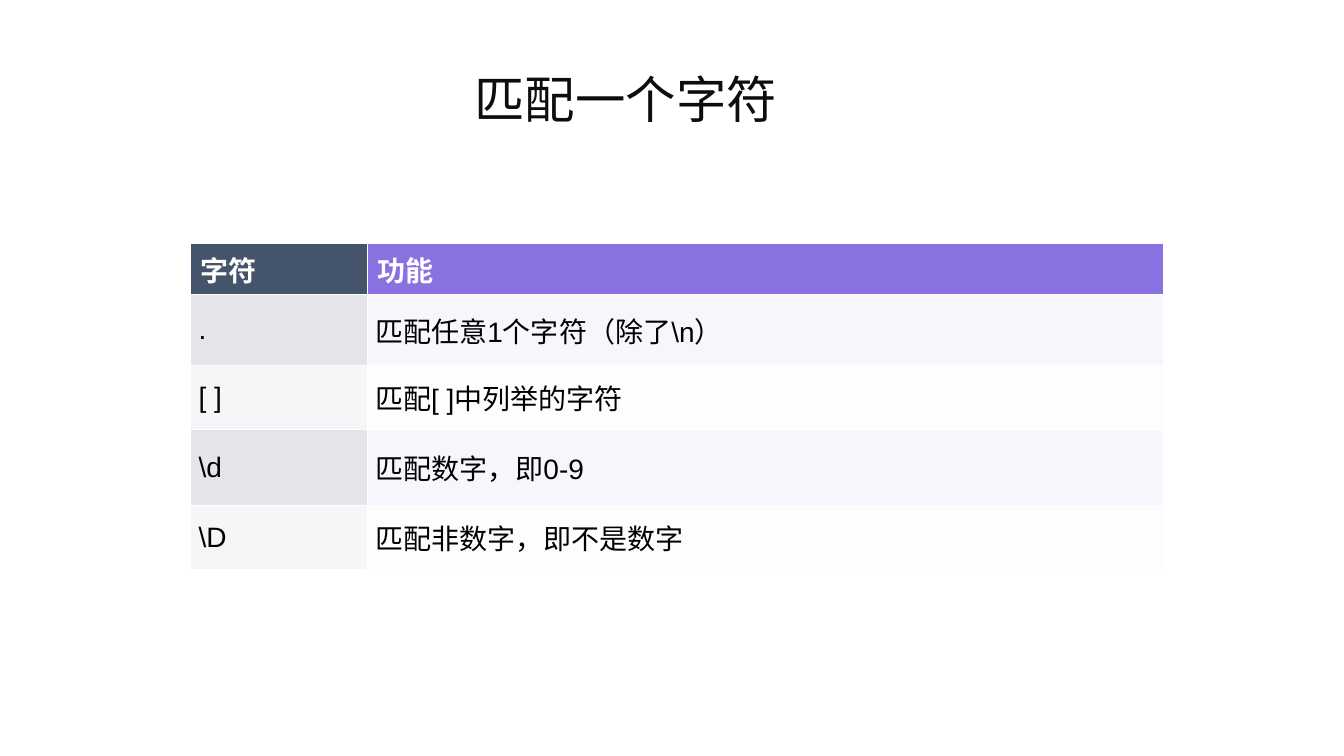
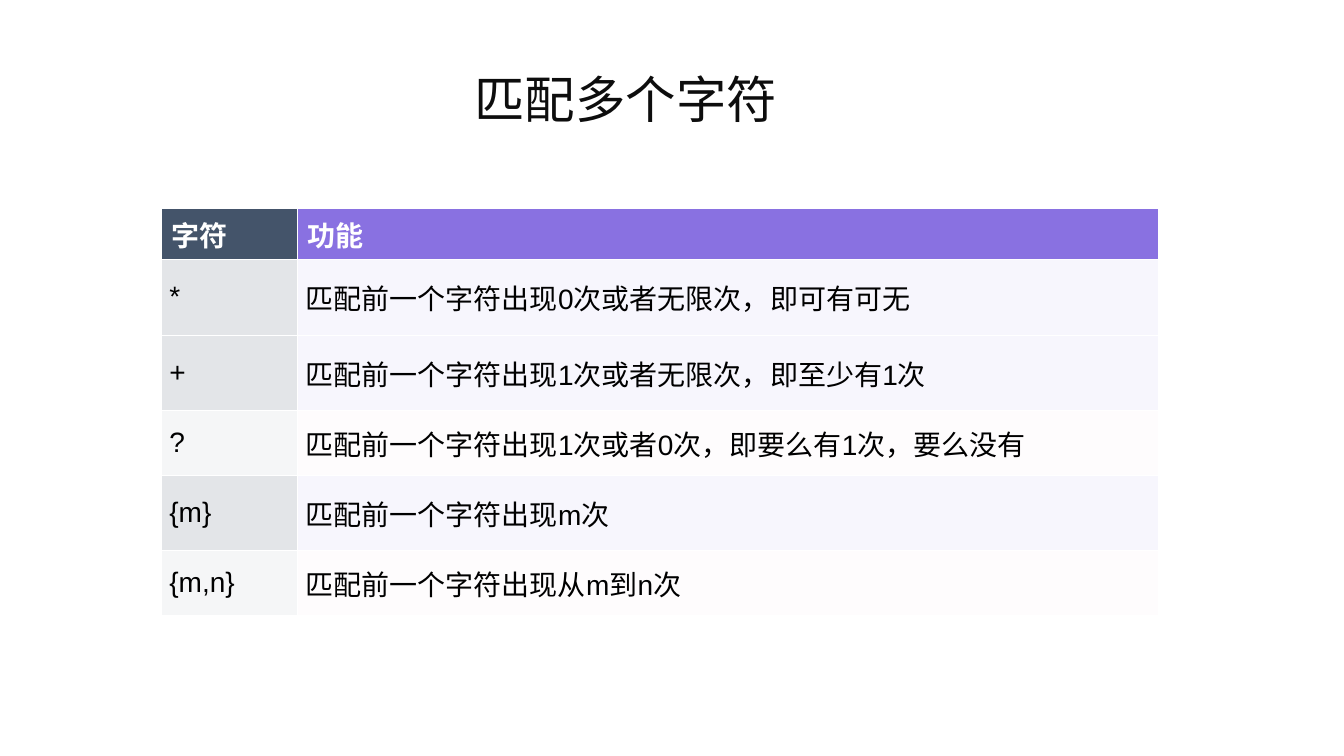
from dataclasses import dataclass

from lxml.etree import SubElement
from pptx import Presentation
from pptx.dml.color import RGBColor
from pptx.enum.text import MSO_ANCHOR, MSO_AUTO_SIZE, PP_ALIGN
from pptx.oxml.ns import qn
from pptx.util import Emu, Pt

EMU_PER_PX = 9144  # 100 px to the inch


def px(length):
    return Emu(length * EMU_PER_PX)


@dataclass(frozen=True)
class Band:
    key_fill: str
    meaning_fill: str
    opacity: int = 100


@dataclass(frozen=True)
class Theme:
    font: str = "Arial"
    title_size: int = 36
    table_size: int = 20
    title_color: str = "0D0D0D"
    header_color: str = "FFFFFF"
    body_color: str = "000000"
    rule_color: str = "FFFFFF"
    rule_width: float = 0.75
    header: Band = Band("44546A", "8971E1")
    dark: Band = Band("44546A", "D0C6F3", 15)
    light: Band = Band("44546A", "F9D5E9", 5)


THEME = Theme()
SLIDE_SIZE = (1333, 750)
TITLE_BOX = (92, -12, 1057, 145)
HEADINGS = ("字符", "功能")
HEADER_HEIGHT = 50
CELL_MARGIN = 8


class Deck:
    def __init__(self, theme):
        self.theme = theme
        self.presentation = Presentation()
        self.presentation.slide_width, self.presentation.slide_height = map(px, SLIDE_SIZE)
        self.slide = None

    def add_slide(self, title):
        self.slide = self.presentation.slides.add_slide(self.presentation.slide_layouts[5])
        heading = self.slide.shapes.title
        heading.left, heading.top, heading.width, heading.height = map(px, TITLE_BOX)
        frame = heading.text_frame
        frame.word_wrap = True
        frame.auto_size = MSO_AUTO_SIZE.NONE
        frame.vertical_anchor = MSO_ANCHOR.BOTTOM
        paragraph = frame.paragraphs[0]
        paragraph.alignment = PP_ALIGN.CENTER
        paragraph.line_spacing = 1.3
        self.add_run(paragraph, title, self.theme.title_size, self.theme.title_color)

    def add_run(self, paragraph, text, size, color, bold=False):
        run = paragraph.add_run()
        run.text = text
        run.font.name = self.theme.font
        run.font.size = Pt(size)
        run.font.bold = bold
        run.font.color.rgb = RGBColor.from_string(color)

    def add_table(self, left, top, column_widths, entries):
        """Entries hold a key, its meaning, the row height and its band."""
        header = (*HEADINGS, HEADER_HEIGHT, self.theme.header)
        rows = [header, *entries]
        frame = self.slide.shapes.add_table(
            len(rows), len(column_widths), px(left), px(top),
            px(sum(column_widths)), px(sum(row[2] for row in rows)))
        table = frame.table
        table.horz_banding = False
        for column, width in zip(table.columns, column_widths):
            column.width = px(width)
        for index, (key, meaning, height, band) in enumerate(rows):
            table.rows[index].height = px(height)
            self.fill_cell(table.cell(index, 0), key, band.key_fill, band)
            self.fill_cell(table.cell(index, 1), meaning, band.meaning_fill, band)

    def fill_cell(self, cell, text, fill, band):
        is_header = band is self.theme.header
        if not is_header:
            cell.vertical_anchor = MSO_ANCHOR.MIDDLE
            cell.margin_left = cell.margin_right = px(CELL_MARGIN)
            cell.margin_top = cell.margin_bottom = px(CELL_MARGIN)
        color = self.theme.header_color if is_header else self.theme.body_color
        self.add_run(cell.text_frame.paragraphs[0], text,
                     self.theme.table_size, color, is_header)
        self.add_borders(cell)
        cell.fill.solid()
        cell.fill.fore_color.rgb = RGBColor.from_string(fill)
        if band.opacity < 100:
            tint = cell._tc.tcPr.find(qn("a:solidFill")).find(qn("a:srgbClr"))
            SubElement(tint, qn("a:alpha"), val=str(band.opacity * 1000))

    def add_borders(self, cell):
        properties = cell._tc.get_or_add_tcPr()
        for side in ("lnL", "lnR", "lnT", "lnB"):
            line = SubElement(properties, qn(f"a:{side}"), w=str(Pt(self.theme.rule_width)))
            solid = SubElement(line, qn("a:solidFill"))
            SubElement(solid, qn("a:srgbClr"), val=self.theme.rule_color)

    def save(self):
        self.presentation.save("out.pptx")


def main():
    dark, light = THEME.dark, THEME.light
    deck = Deck(THEME)

    deck.add_slide("匹配一个字符")
    deck.add_table(189, 242, (175, 790), [
        (".", "匹配任意1个字符（除了\\n）", 70, dark),
        ("[ ]", "匹配[ ]中列举的字符", 64, light),
        ("\\d", "匹配数字，即0-9", 75, dark),
        ("\\D", "匹配非数字，即不是数字", 64, light),
    ])

    deck.add_slide("匹配多个字符")
    deck.add_table(160, 207, (135, 854), [
        ("*", "匹配前一个字符出现0次或者无限次，即可有可无", 75, dark),
        ("+", "匹配前一个字符出现1次或者无限次，即至少有1次", 75, dark),
        ("?", "匹配前一个字符出现1次或者0次，即要么有1次，要么没有", 64, light),
        ("{m}", "匹配前一个字符出现m次", 75, dark),
        ("{m,n}", "匹配前一个字符出现从m到n次", 64, light),
    ])
    deck.save()


if __name__ == "__main__":
    main()
